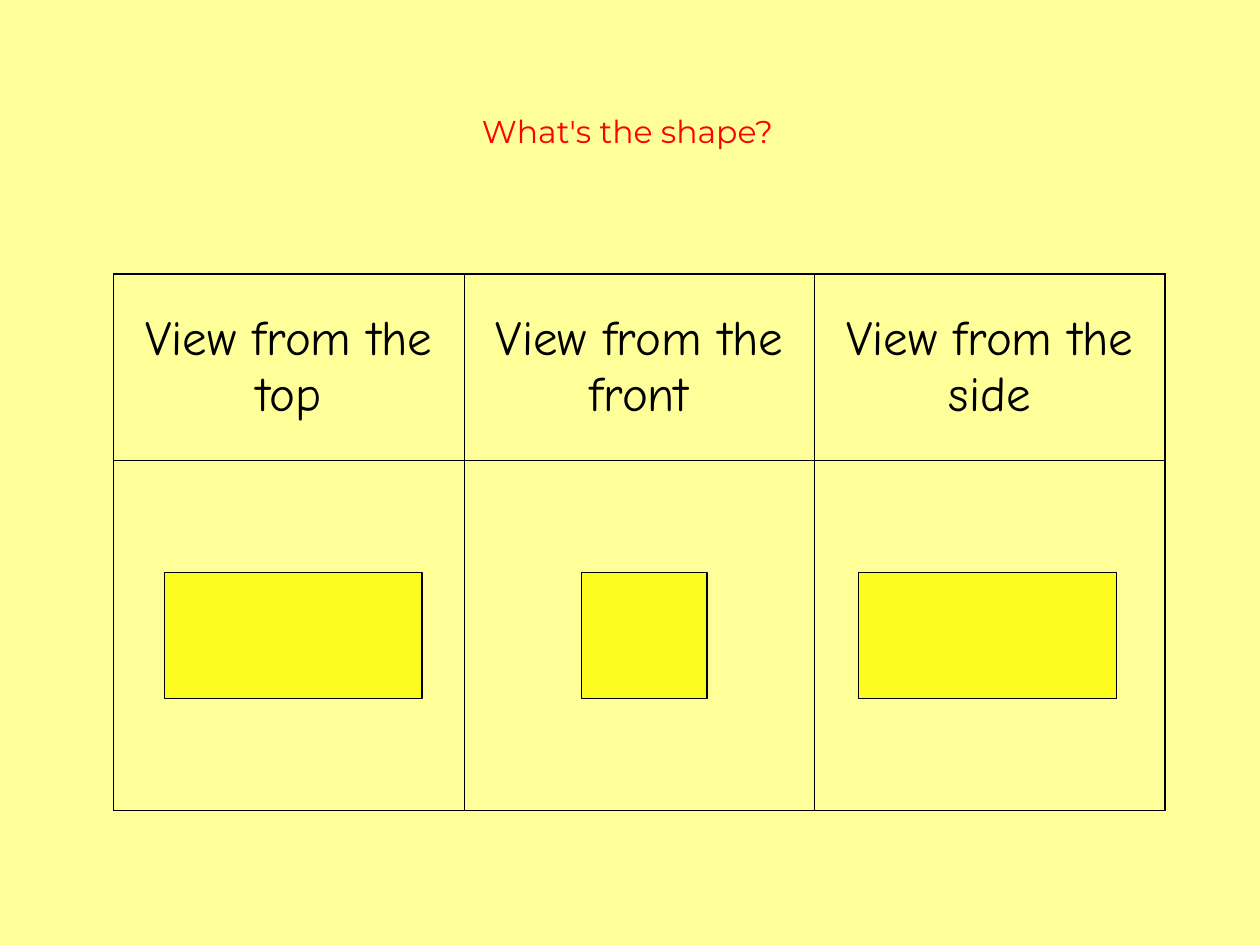
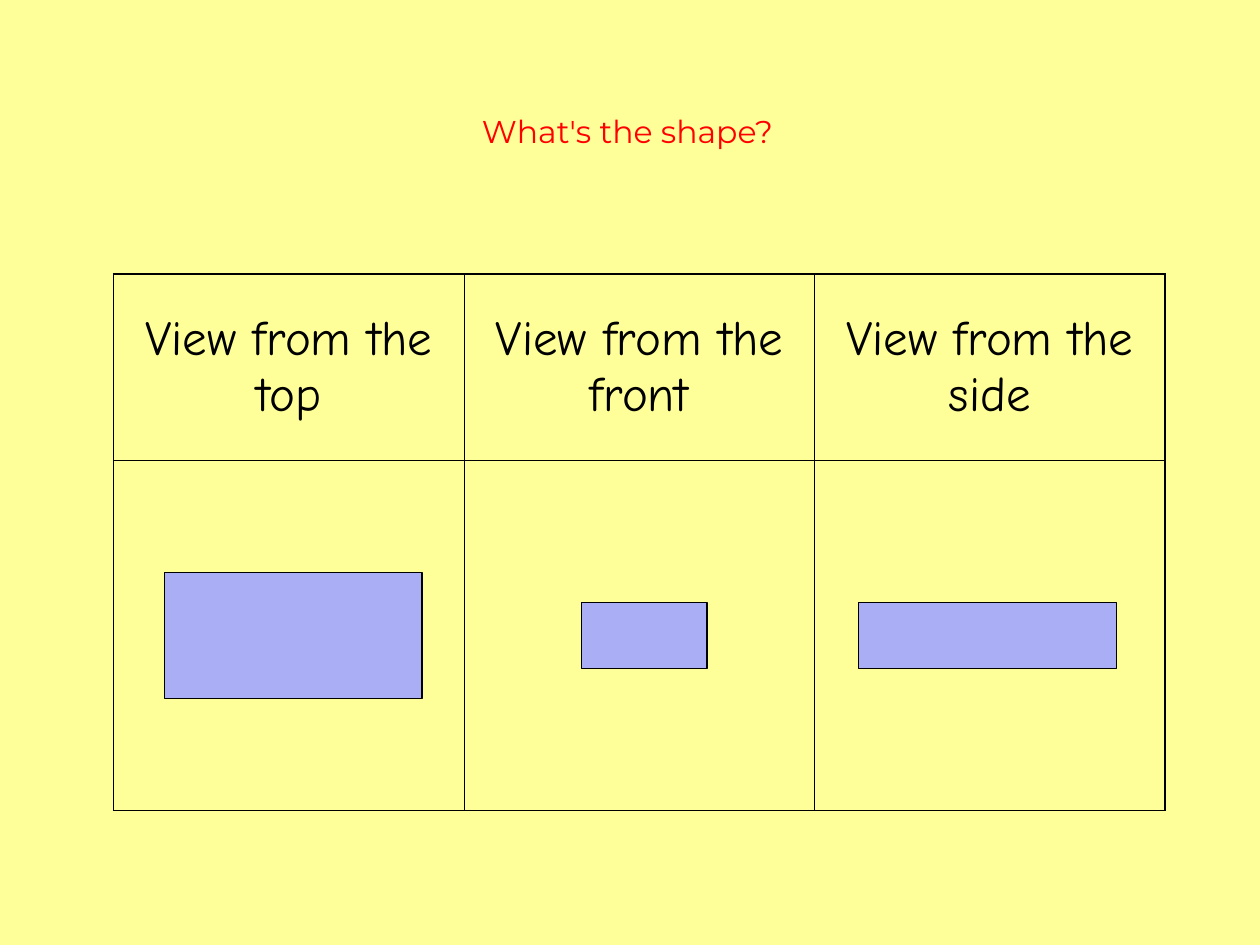
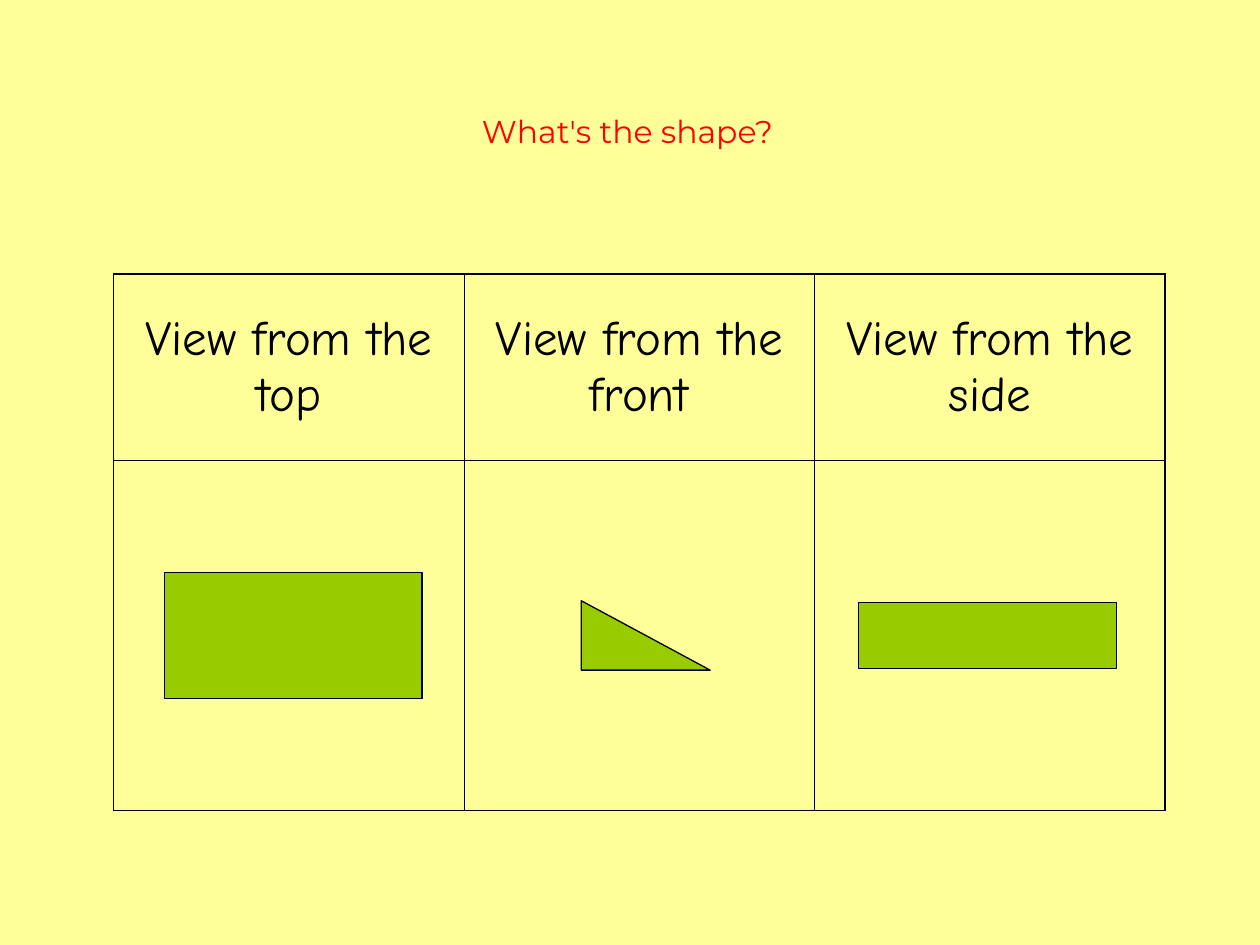
from lxml.etree import SubElement
from pptx import Presentation
from pptx.dml.color import RGBColor
from pptx.enum.shapes import MSO_SHAPE
from pptx.enum.text import MSO_ANCHOR, MSO_AUTO_SIZE, PP_ALIGN
from pptx.oxml import parse_xml
from pptx.oxml.ns import nsdecls, qn
from pptx.util import Cm, Pt

COLORS = {
    "background": "FFFF99",
    "title": "FF0000",
    "ink": "000000",
    "yellow": "FCFC20",
    "lilac": "AAAEF4",
    "green": "99CC00",
}
TITLE_FONT, TABLE_FONT = "Montserrat", "Comic Neue"
OUTER, INNER = Pt(1.08), Pt(0.45)

# Boxes are left, top, width, height in cm
TITLE_BOX = (6.7, 2.13, 11.9, 1.8)
TABLE_BOX = (2.29, 5.53, 21.2, 10.81)
HEAD_HEIGHT = 3.75
HEADINGS = ["View from the top", "View from the front", "View from the side"]
VIEW_INSETS = [1.02, 2.36, 0.88]  # left edge of each view within its column

RECT, WEDGE = MSO_SHAPE.RECTANGLE, MSO_SHAPE.RIGHT_TRIANGLE
LONG, SHORT, HIGH, LOW = 5.2, 2.54, 2.54, 1.34

# Each puzzle: colour, then (shape, width, height) from top, front and side
PUZZLES = [
    ("yellow", [(RECT, LONG, HIGH), (RECT, SHORT, HIGH), (RECT, LONG, HIGH)]),
    ("lilac", [(RECT, LONG, HIGH), (RECT, SHORT, LOW), (RECT, LONG, LOW)]),
    ("green", [(RECT, LONG, HIGH), (WEDGE, 2.6, 1.4), (RECT, LONG, LOW)]),
]


def rgb(name):
    return RGBColor.from_string(COLORS[name])


def style_paragraph(p, font, size, color):
    p.alignment = PP_ALIGN.CENTER
    p.font.name = font
    p.font.size = Pt(size)
    p.font.color.rgb = rgb(color)


def set_borders(cell, widths):
    """Draw the left, right, top and bottom border of a cell."""
    tc_pr = cell._tc.get_or_add_tcPr()
    for i, (side, width) in enumerate(zip("LRTB", widths)):
        ln = parse_xml(f'<a:ln{side} {nsdecls("a")} w="{int(width)}"/>')
        fill = SubElement(ln, qn("a:solidFill"))
        SubElement(fill, qn("a:srgbClr"), val=COLORS["ink"])
        tc_pr.insert(i, ln)


def add_title(slide, box, text):
    sp = slide.shapes.title
    sp.left, sp.top, sp.width, sp.height = map(Cm, box)
    tf = sp.text_frame
    tf.text = text
    tf.auto_size = MSO_AUTO_SIZE.NONE
    tf.word_wrap = False
    tf.vertical_anchor = MSO_ANCHOR.TOP
    style_paragraph(tf.paragraphs[0], TITLE_FONT, 18, "title")


def add_view_table(slide, box):
    left, top, width, height = box
    n_cols = len(HEADINGS)
    table = slide.shapes.add_table(2, n_cols, *map(Cm, box)).table
    table.first_row = table.horz_banding = False
    table.rows[0].height = Cm(HEAD_HEIGHT)
    table.rows[1].height = Cm(height - HEAD_HEIGHT)
    for col, heading in enumerate(HEADINGS):
        table.columns[col].width = Cm(width / n_cols)

        # Heading text
        head = table.cell(0, col)
        head.text = heading
        head.vertical_anchor = MSO_ANCHOR.MIDDLE
        style_paragraph(head.text_frame.paragraphs[0], TABLE_FONT, 28, "ink")

        # Heavy frame, thin lines inside
        for row in range(2):
            cell = table.cell(row, col)
            cell.fill.background()
            on_frame = (col == 0, col == n_cols - 1, row == 0, row == 1)
            set_borders(cell, [OUTER if edge else INNER for edge in on_frame])


def add_views(slide, box, color, views):
    """Place one view per column, centred in the lower row of the table."""
    left, top, width, height = box
    middle = top + (HEAD_HEIGHT + height) / 2
    for col, (kind, w, h) in enumerate(views):
        x = left + col * width / len(views) + VIEW_INSETS[col]
        sp = slide.shapes.add_shape(kind, Cm(x), Cm(middle - h / 2), Cm(w), Cm(h))
        sp.shadow.inherit = False
        sp.fill.solid()
        sp.fill.fore_color.rgb = rgb(color)
        sp.line.color.rgb = rgb("ink")
        sp.line.width = Pt(0.75)


def add_puzzle_slide(prs, color, views):
    slide = prs.slides.add_slide(prs.slide_layouts.get_by_name("Title Only"))
    add_title(slide, TITLE_BOX, "What's the shape?")
    add_view_table(slide, TABLE_BOX)
    add_views(slide, TABLE_BOX, color, views)


def main():
    prs = Presentation()
    prs.slide_width, prs.slide_height = Cm(25.4), Cm(19.05)

    # Shared background
    fill = prs.slide_master.background.fill
    fill.solid()
    fill.fore_color.rgb = rgb("background")

    for color, views in PUZZLES:
        add_puzzle_slide(prs, color, views)
    prs.save("out.pptx")


if __name__ == "__main__":
    main()
